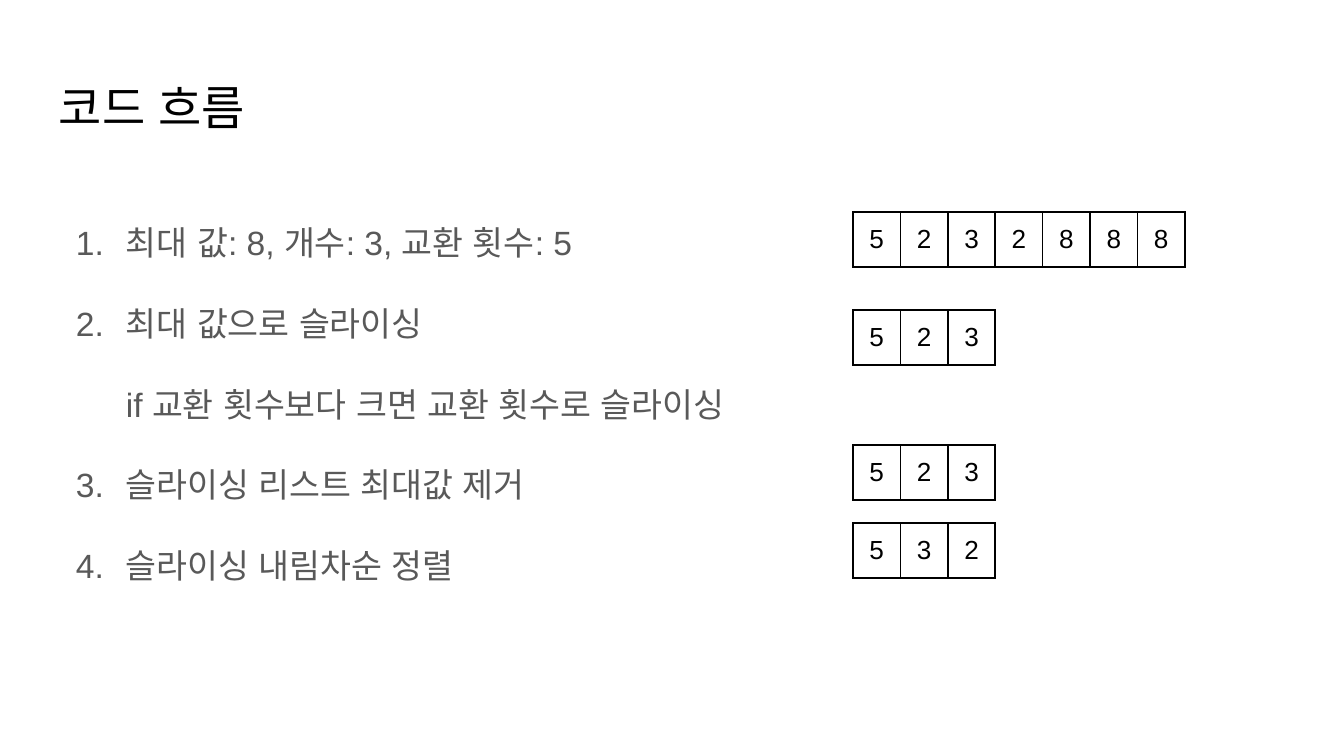
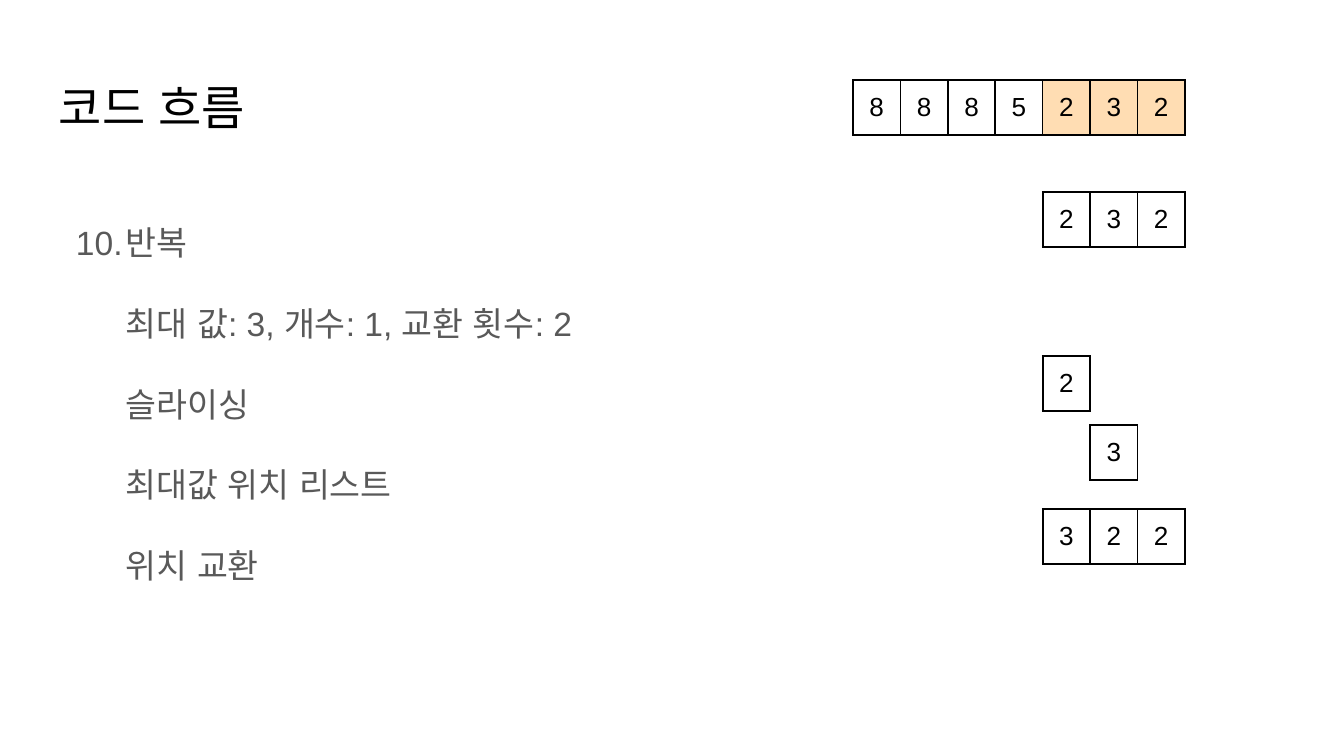
from lxml import etree
from pptx import Presentation
from pptx.dml.color import RGBColor
from pptx.enum.text import MSO_ANCHOR, PP_ALIGN
from pptx.oxml.ns import qn
from pptx.util import Pt

EMU_PER_PX = 914400 / 134.4
FONT = "Arial"
COLORS = {"black": "000000", "body": "595959", "settled": "FFDDB3"}
CENTER = PP_ALIGN.CENTER
TOP, MIDDLE = MSO_ANCHOR.TOP, MSO_ANCHOR.MIDDLE

SLIDE_W, SLIDE_H = 1344, 756
TEXT_X, TEXT_W, INSET = 46, 1253, 13
LIST_X, LIST_W, LIST_H = 853, 332, 55
LIST_LEN = 7

TITLE = "코드 흐름"
INIT_STEPS = [
    "최대 값: 8, 개수: 3, 교환 횟수: 5",
    "최대 값으로 슬라이싱\vif 교환 횟수보다 크면 교환 횟수로 슬라이싱",
    "슬라이싱 리스트 최대값 제거",
    "슬라이싱 내림차순 정렬",
]
REPEAT_STEPS = [
    "반복\v최대 값: 3, 개수: 1, 교환 횟수: 2\v슬라이싱\v최대값 위치 리스트\v위치 교환",
]
# Each list: first column, top, digits
INIT_LISTS = [(0, 212, "5232888"), (0, 310, "523"), (0, 445, "523"), (0, 523, "532")]
REPEAT_LISTS = [(4, 192, "232"), (4, 356, "2"), (5, 425, "3"), (4, 509, "322")]


def px(n):
    return round(n * EMU_PER_PX)


def write_text(p, text, size=18, color="black", align=None, spacing=None):
    p.text = text
    p.alignment = align
    p.line_spacing = spacing
    for r in p.runs:
        r.font.size = Pt(size)
        r.font.name = FONT
        r.font.color.rgb = RGBColor.from_string(COLORS[color])
        # Hangul takes its line height from the East Asian font
        etree.SubElement(r.font._element, qn("a:ea"), typeface=FONT)


def add_box(s, y, h):
    tf = s.shapes.add_textbox(px(TEXT_X), px(y), px(TEXT_W), px(h)).text_frame
    tf.word_wrap = True
    tf.vertical_anchor = TOP
    tf.margin_left = tf.margin_right = tf.margin_top = tf.margin_bottom = px(INSET)
    return tf


def number_paragraph(p, start):
    """Give the paragraph a hanging automatic number."""
    pPr = p._p.get_or_add_pPr()
    pPr.set("marL", str(px(67)))
    pPr.set("indent", str(-px(50)))
    color = etree.SubElement(pPr, qn("a:buClr"))
    etree.SubElement(color, qn("a:srgbClr"), val=COLORS["body"])
    number = etree.SubElement(pPr, qn("a:buAutoNum"), type="arabicPeriod")
    if start > 1:
        number.set("startAt", str(start))


def add_steps(s, steps, start):
    tf = add_box(s, 169, 502)
    for i, step in enumerate(steps):
        p = tf.add_paragraph() if i else tf.paragraphs[0]
        number_paragraph(p, start)
        write_text(p, step, color="body", spacing=2.0)


def add_borders(cell):
    tcPr = cell._tc.get_or_add_tcPr()
    for side in ("lnL", "lnR", "lnT", "lnB"):
        ln = etree.SubElement(tcPr, qn(f"a:{side}"), w=str(Pt(1)))
        fill = etree.SubElement(ln, qn("a:solidFill"))
        etree.SubElement(fill, qn("a:srgbClr"), val=COLORS["black"])


def add_list(s, col, y, digits, settled_from=LIST_LEN):
    """Draw a one-row list, tinting the cells from settled_from on."""
    cell_w = px(LIST_W) // LIST_LEN
    n = len(digits)
    table = s.shapes.add_table(1, n, px(LIST_X) + col * cell_w, px(y),
                               n * cell_w, px(LIST_H)).table
    table.first_row = table.horz_banding = False
    for i, digit in enumerate(digits):
        table.columns[i].width = cell_w
        cell = table.cell(0, i)
        cell.vertical_anchor = MIDDLE
        add_borders(cell)
        if i < settled_from:
            cell.fill.background()
        else:
            cell.fill.solid()
            cell.fill.fore_color.rgb = RGBColor.from_string(COLORS["settled"])
        write_text(cell.text_frame.paragraphs[0], digit, size=14, align=CENTER)


def add_flow_slide(prs, steps, lists, start=1):
    s = prs.slides.add_slide(prs.slide_layouts[6])
    write_text(add_box(s, 66, 85).paragraphs[0], TITLE, size=25.2)
    add_steps(s, steps, start)
    for col, y, digits in lists:
        add_list(s, col, y, digits)
    return s


def main():
    prs = Presentation()
    prs.slide_width, prs.slide_height = px(SLIDE_W), px(SLIDE_H)
    add_flow_slide(prs, INIT_STEPS, INIT_LISTS)
    s = add_flow_slide(prs, REPEAT_STEPS, REPEAT_LISTS, start=10)
    add_list(s, 0, 80, "8885232", settled_from=4)
    prs.save("out.pptx")


if __name__ == "__main__":
    main()
